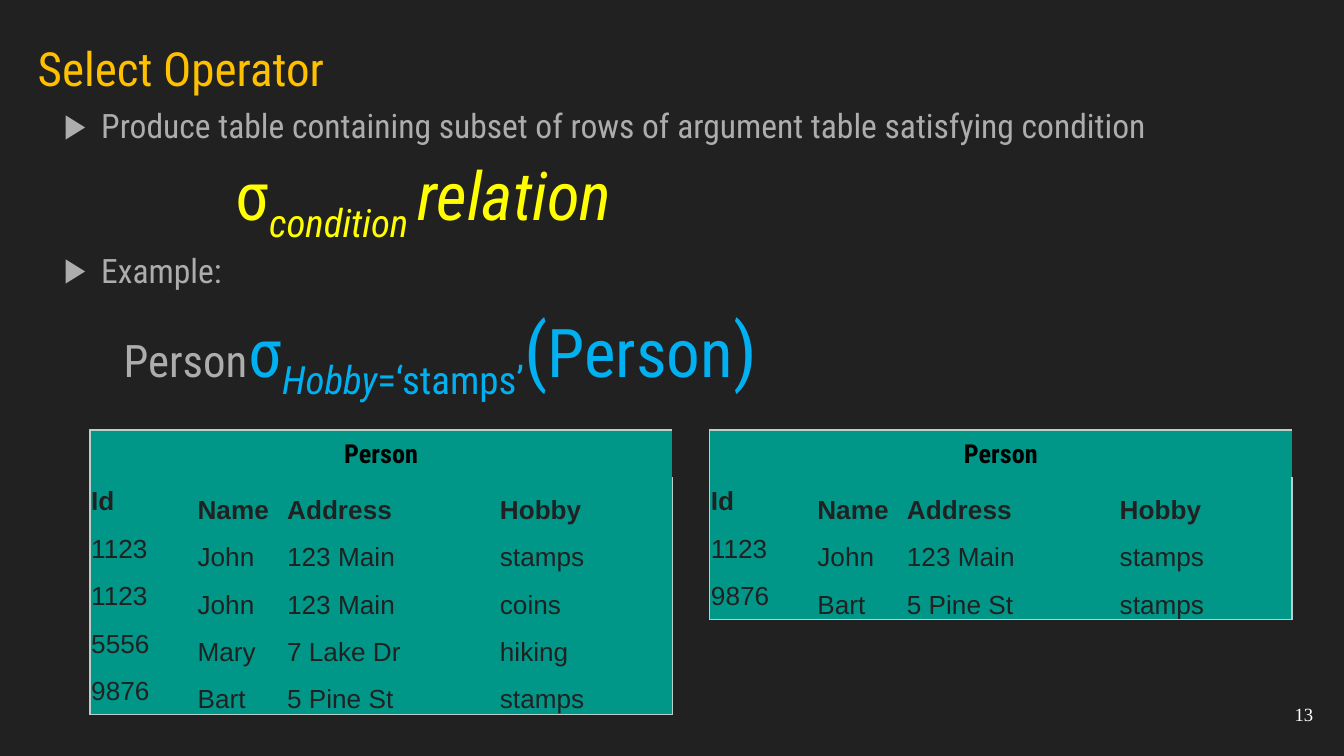
from lxml import etree
from pptx import Presentation
from pptx.dml.color import RGBColor
from pptx.enum.text import MSO_ANCHOR, MSO_AUTO_SIZE, PP_ALIGN
from pptx.oxml.ns import qn
from pptx.util import Pt

TOP, MID, LOW = MSO_ANCHOR.TOP, MSO_ANCHOR.MIDDLE, MSO_ANCHOR.BOTTOM
LEFT, CENTER, RIGHT = PP_ALIGN.LEFT, PP_ALIGN.CENTER, PP_ALIGN.RIGHT
FIXED = MSO_AUTO_SIZE.NONE

HEX = {"back": "212121", "title": "FFC000", "grey": "ADADAD",
       "yellow": "FFFF00", "blue": "00B0F0", "teal": "009688",
       "edge": "B8CFCB", "black": "000000", "white": "FFFFFF"}
ROBOTO = "Roboto Condensed"
SIDES = ("lnL", "lnR", "lnT", "lnB")
COLS = (57, 48, 114, 93)
ROW = 25.4

HEAD = ("Id", "Name", "Address", "Hobby")
PEOPLE = (("1123", "John", "123 Main", "stamps"),
          ("1123", "John", "123 Main", "coins"),
          ("5556", "Mary", "7 Lake Dr", "hiking"),
          ("9876", "Bart", "5 Pine St", "stamps"))


def color(name):
    return RGBColor.from_string(HEX[name])


def apply(item, values):
    for key, value in values.items():
        setattr(item, key, value)


def add_run(para, text, size, tint, face=ROBOTO, sub=False, **style):
    run = para.add_run()
    run.text = text
    apply(run.font, {"size": Pt(size), "name": face, **style})
    run.font.color.rgb = color(tint)
    if sub:
        run.font._element.set("baseline", "-25000")


def place(shape, left, top, width, height, anchor=TOP):
    """Set the box of a text shape and the layout of its frame."""
    apply(shape, {"left": Pt(left), "top": Pt(top),
                  "width": Pt(width), "height": Pt(height)})
    pad = Pt(7.2)
    apply(shape.text_frame, {
        "word_wrap": True, "auto_size": FIXED, "vertical_anchor": anchor,
        "margin_left": pad, "margin_right": pad,
        "margin_top": pad, "margin_bottom": pad})
    return shape.text_frame


def set_para(para, margin, indent, space, bullet=False, tab=None):
    apply(para, {"alignment": LEFT, "line_spacing": space,
                 "space_before": Pt(1.5), "space_after": Pt(0)})
    props = para._p.get_or_add_pPr()
    props.set("marL", str(Pt(margin)))
    props.set("indent", str(Pt(indent)))
    if bullet:
        tone = etree.SubElement(props, qn("a:buClr"))
        etree.SubElement(tone, qn("a:srgbClr"), val=HEX["grey"])
        etree.SubElement(props, qn("a:buFont"), typeface="Arial")
        etree.SubElement(props, qn("a:buChar"), char="▶")
    else:
        etree.SubElement(props, qn("a:buNone"))
    if tab:
        stops = etree.SubElement(props, qn("a:tabLst"))
        etree.SubElement(stops, qn("a:tab"), pos=str(Pt(tab)), algn="l")


def add_point(para, text):
    set_para(para, 29, -20, 1.05, bullet=True)
    add_run(para, text, 18, "grey")


def fill_body(frame):
    add_point(frame.paragraphs[0], "Produce table containing subset of rows "
              "of argument table satisfying condition")

    rule = frame.add_paragraph()
    set_para(rule, 101, 0, 1.05)
    add_run(rule, "σ", 36, "yellow")
    add_run(rule, "condition ", 36, "yellow", sub=True, italic=True)
    add_run(rule, "relation", 36, "yellow", italic=True)

    add_point(frame.add_paragraph(), "Example:")

    case = frame.add_paragraph()
    set_para(case, 0, 41, 1.1, tab=300)
    add_run(case, "Person\t", 24, "grey")
    add_run(case, "σ", 36, "blue")
    add_run(case, "Hobby", 36, "blue", sub=True, italic=True)
    add_run(case, "=‘stamps’", 36, "blue", sub=True)
    for text, size in (("(", 40), ("Person", 36), (")", 40)):
        add_run(case, text, size, "blue")


def set_edges(cell, shown):
    props = cell._tc.get_or_add_tcPr()
    for spot, side in enumerate(SIDES):
        line = etree.Element(qn("a:" + side), w=str(Pt(0.75)))
        if side in shown:
            fill = etree.SubElement(line, qn("a:solidFill"))
            etree.SubElement(fill, qn("a:srgbClr"), val=HEX["edge"])
        else:
            etree.SubElement(line, qn("a:noFill"))
        props.insert(spot, line)


def set_cell(cell, anchor, shown):
    apply(cell, {"margin_left": Pt(0.7), "margin_right": Pt(0.7),
                 "margin_top": Pt(0.7), "margin_bottom": Pt(0),
                 "vertical_anchor": anchor})
    cell.fill.solid()
    cell.fill.fore_color.rgb = color("teal")
    set_edges(cell, shown)


def add_people(slide, left, people):
    """Add a Person table with a merged caption row."""
    rows = (("Person", "", "", ""), HEAD, *people)
    last = len(rows) - 1
    table = slide.shapes.add_table(
        len(rows), len(COLS), Pt(left), Pt(230.4),
        Pt(sum(COLS)), Pt(ROW * len(rows))).table
    for col, width in zip(table.columns, COLS):
        col.width = Pt(width)
    for r, row in enumerate(rows):
        table.rows[r].height = Pt(ROW)
        for c, text in enumerate(row):
            cell = table.cell(r, c)
            outer = (c == 0, c == len(COLS) - 1, r == 0, r == last)
            shown = [side for side, on in zip(SIDES, outer) if on]
            set_cell(cell, MID if c == 0 or r == 0 else LOW, shown)
            if text:
                para = cell.text_frame.paragraphs[0]
                para.alignment = LEFT if r else CENTER
                tint, face = ("back", "Arial") if r else ("black", ROBOTO)
                add_run(para, text, 14, tint, face, bold=r < 2)
    table.cell(0, 0).merge(table.cell(0, len(COLS) - 1))


def main():
    deck = Presentation()
    apply(deck, {"slide_width": Pt(720), "slide_height": Pt(405)})
    slide = deck.slides.add_slide(deck.slide_layouts[1])
    slide.background.fill.solid()
    slide.background.fill.fore_color.rgb = color("back")

    title = place(slide.shapes.title, 13, 13.7, 653, 40.3).paragraphs[0]
    title.alignment = LEFT
    add_run(title, "Select Operator", 25.2, "title")

    fill_body(place(slide.placeholders[1], 18, 48.2, 612, 180))
    add_people(slide, 48.2, PEOPLE)
    add_people(slide, 380.2,
               [row for row in PEOPLE if row[-1] == "stamps"])

    box = slide.shapes.add_textbox(0, 0, 0, 0)
    number = place(box, 667.4, 367.2, 43.2, 31, MID).paragraphs[0]
    number.alignment = RIGHT
    add_run(number, "13", 10, "white", "Times New Roman")
    deck.save("out.pptx")


if __name__ == "__main__":
    main()
